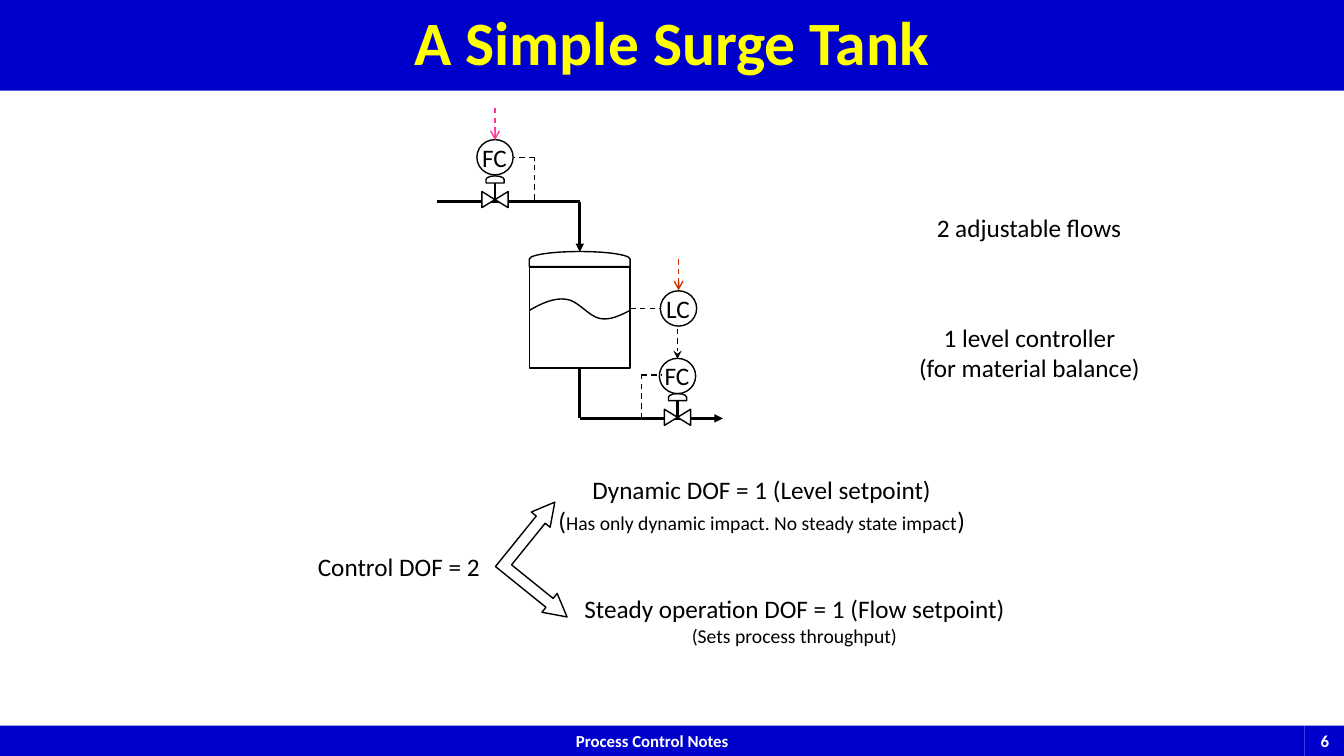
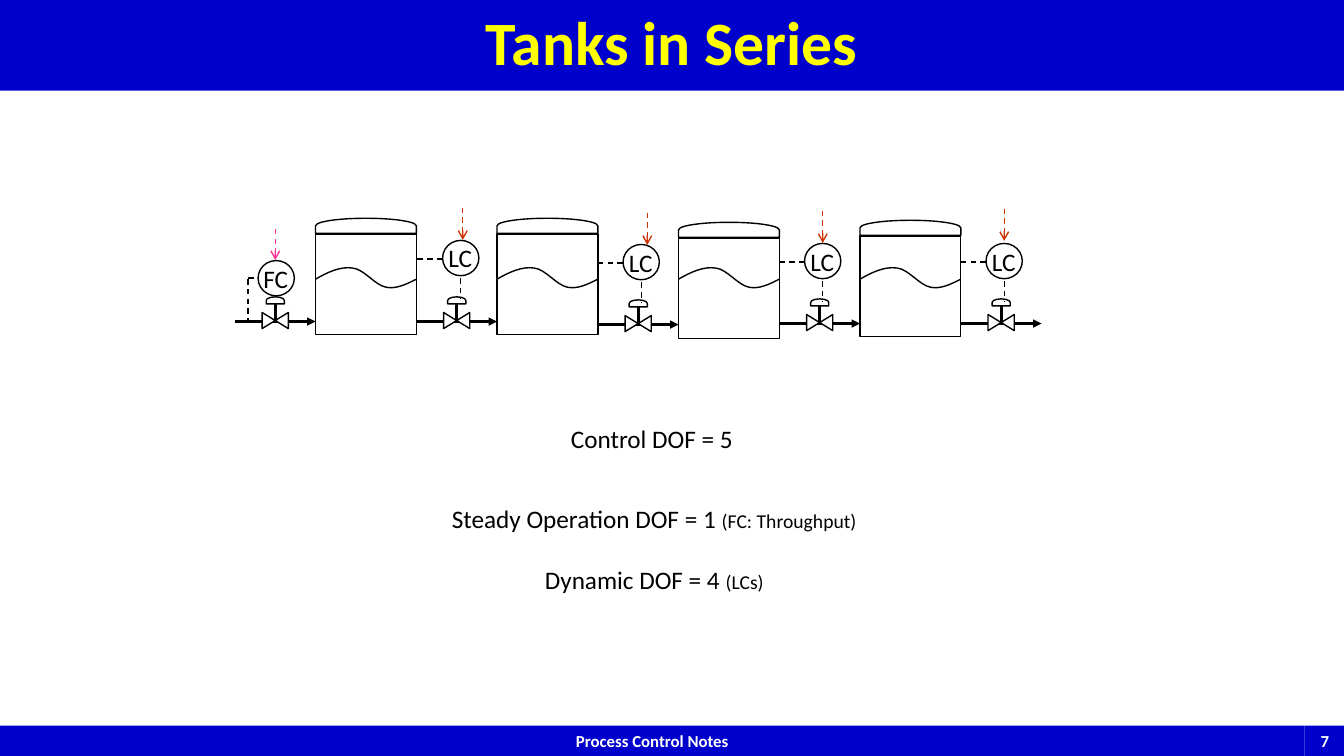
from lxml import etree
from pptx import Presentation
from pptx.dml.color import RGBColor
from pptx.enum.dml import MSO_LINE
from pptx.enum.shapes import MSO_CONNECTOR, MSO_SHAPE
from pptx.enum.text import MSO_ANCHOR, PP_ALIGN
from pptx.oxml.ns import qn
from pptx.util import Inches, Pt

STRAIGHT = MSO_CONNECTOR.STRAIGHT
RECTANGLE = MSO_SHAPE.RECTANGLE
OVAL = MSO_SHAPE.OVAL
DELAY = MSO_SHAPE.FLOWCHART_DELAY
COLLATE = MSO_SHAPE.FLOWCHART_COLLATE
LEFT_UP_ARROW = MSO_SHAPE.LEFT_UP_ARROW
DASH = MSO_LINE.DASH
CENTER = PP_ALIGN.CENTER
MIDDLE = MSO_ANCHOR.MIDDLE
TOP = MSO_ANCHOR.TOP

FONT = "Calibri"
COLOURS = {
    "band": "0000CC",
    "title": "FFFF00",
    "white": "FFFFFF",
    "ink": "000000",
    "flow": "FF3399",
    "level": "CC3300",
}
WAVE = [
    (0.12, -0.07), (0.25, -0.13), (0.37, -0.11),
    (0.48, -0.1), (0.59, 0.06), (0.7, 0.08),
    (0.8, 0.1), (0.9, 0.05), (1, 0),
]


def add_line(page, start, end, width=1, colour="ink", dashed=False, arrow=None):
    line = page.shapes.add_connector(STRAIGHT, *(Inches(value) for value in start + end))
    line.line.width = Pt(width)
    line.line.color.rgb = RGBColor.from_string(COLOURS[colour])
    if dashed:
        line.line.dash_style = DASH
    properties = line.element.spPr
    if arrow:
        etree.SubElement(properties.find(qn("a:ln")), qn("a:tailEnd"), type=arrow)
    etree.SubElement(properties, qn("a:effectLst"))


def add_outline(page, kind, centre, width, height, rotation=0, fill=None):
    left, top = centre[0] - width / 2, centre[1] - height / 2
    shape = page.shapes.add_shape(kind, Inches(left), Inches(top), Inches(width), Inches(height))
    shape.shadow.inherit = False
    shape.rotation = rotation
    shape.line.width = Pt(1)
    shape.line.color.rgb = RGBColor.from_string(COLOURS["ink"])
    if fill:
        shape.fill.solid()
        shape.fill.fore_color.rgb = RGBColor.from_string(COLOURS[fill])
    else:
        shape.fill.background()
    return shape


surge_tank = {
    "title": "A Simple Surge Tank",
    "tanks": [(5.25, 2.65)],
    "wave_top": 3.08,
    "pipes": [
        ((4.33, 2), (5.75, 2), None),
        ((5.75, 2), (5.75, 2.5), "triangle"),
        ((5.75, 3.65), (5.75, 4.15), None),
        ((5.75, 4.15), (7.17, 4.15), "triangle"),
    ],
    "valves": [(4.91, 1.98), (6.72, 4.14)],
    "controllers": [("FC", 4.91, 1.56), ("LC", 6.73, 3.06), ("FC", 6.72, 3.73)],
    "signals": [
        ((5.3, 1.98), (5.3, 1.56), "ink", None),
        ((5.3, 1.56), (5.1, 1.56), "ink", None),
        ((4.91, 1.07), (4.91, 1.39), "flow", "arrow"),
        ((6.25, 3.06), (6.55, 3.06), "ink", None),
        ((6.73, 2.57), (6.73, 2.88), "level", "arrow"),
        ((6.72, 3.26), (6.72, 3.56), "ink", "stealth"),
        ((6.36, 4.15), (6.36, 3.72), "ink", None),
        ((6.36, 3.72), (6.56, 3.72), "ink", None),
    ],
    "texts": [
        (9.18, 2.06, 2.05, 0.4, [[("2 adjustable flows", 18)]]),
        (9, 3.15, 2.42, 1.01, [[("1 level controller", 18)], [("(for material balance)", 18)]]),
        (3.04, 5.42, 1.83, 0.4, [[("Control DOF = 2", 18)]]),
        (5.42, 4.66, 4.27, 0.71, [
            [("Dynamic DOF = 1 (Level setpoint)", 18)],
            [("(", 18), ("Has only dynamic impact. No steady state impact", 14), (")", 18)],
        ]),
        (5.67, 5.84, 4.42, 0.64, [
            [("Steady operation DOF = 1 (Flow setpoint)", 18)],
            [("(Sets process throughput)", 14)],
        ]),
    ],
    "paragraph_gap": 0,
}

PITCH = 1.8
pipe_tops = [3.19, 3.19, 3.22, 3.21, 3.21]
tank_tops = [2.32, 2.32, 2.36, 2.34]
level_centres = [(4.57, 2.56), (6.36, 2.6), (8.16, 2.59), (9.96, 2.59)]
setpoints = [(4.59, 2.06), (6.42, 2.11), (8.16, 2.09), (9.96, 2.07)]
series = {
    "title": "Tanks in Series",
    "tanks": [(3.13 + PITCH * index, top) for index, top in enumerate(tank_tops)],
    "wave_top": 2.77,
    "pipes": [
        ((2.33 + PITCH * index, top), (3.13 + PITCH * index, top), "triangle")
        for index, top in enumerate(pipe_tops)
    ],
    "valves": [(2.73 + PITCH * index, top - 0.01) for index, top in enumerate(pipe_tops)],
    "controllers": [("FC", 2.74, 2.76)] + [("LC", x, y) for x, y in level_centres],
    "signals": [
        ((2.46, 2.76), (2.56, 2.76), "ink", None),
        ((2.46, 2.77), (2.46, 3.17), "ink", None),
        ((2.73, 2.27), (2.73, 2.58), "flow", "arrow"),
    ],
    "texts": [
        (5.55, 4.15, 1.83, 0.4, [[("Control DOF = 5", 18)]]),
        (4.36, 4.94, 4.26, 1.01, [
            [("Steady Operation DOF = 1 ", 18), ("(FC: Throughput)", 14)],
            [("Dynamic DOF = 4 ", 18), ("(LCs)", 14)],
        ]),
    ],
    "paragraph_gap": 22,
}
for (x, y), (setpoint_x, setpoint_y) in zip(level_centres, setpoints):
    series["signals"] += [
        ((x - 0.43, y + 0.01), (x - 0.18, y + 0.01), "ink", None),
        ((x, y + 0.2), (x, y + 0.4), "ink", None),
        ((setpoint_x, setpoint_y), (setpoint_x, setpoint_y + 0.32), "level", "arrow"),
    ]

deck = Presentation()
deck.slide_width = Inches(13.33)
deck.slide_height = Inches(7.5)

for number, content in enumerate([surge_tank, series], start=6):
    page = deck.slides.add_slide(deck.slide_layouts[6])

    for left, top in content["tanks"]:
        add_outline(page, RECTANGLE, (left + 0.5, top + 0.5), 1, 1)
        add_outline(page, DELAY, (left + 0.5, top - 0.08), 0.15, 1, rotation=270)
        wave_top = content["wave_top"]
        builder = page.shapes.build_freeform(Inches(left), Inches(wave_top))
        builder.add_line_segments(
            [(Inches(left + x), Inches(wave_top + y)) for x, y in WAVE], close=False
        )
        wave = builder.convert_to_shape()
        wave.shadow.inherit = False
        wave.fill.background()
        wave.line.width = Pt(1)
        wave.line.color.rgb = RGBColor.from_string(COLOURS["ink"])
        segments = wave.element.findall(".//" + qn("a:lnTo"))
        outline = segments[0].getparent()
        for first in range(0, len(segments), 3):
            curve = etree.SubElement(outline, qn("a:cubicBezTo"))
            for segment in segments[first:first + 3]:
                curve.append(segment[0])
                outline.remove(segment)

    for start, end, arrow in content["pipes"]:
        add_line(page, start, end, width=2, arrow=arrow)

    for x, y in content["valves"]:
        add_outline(page, COLLATE, (x, y), 0.16, 0.26, rotation=270, fill="white")
        add_outline(page, DELAY, (x, y - 0.2), 0.07, 0.18, rotation=270)
        add_line(page, (x, y), (x, y - 0.16), width=2)

    for label, x, y in content["controllers"]:
        add_outline(page, OVAL, (x, y), 0.36, 0.35)

    for start, end, colour, arrow in content["signals"]:
        add_line(page, start, end, colour=colour, dashed=True, arrow=arrow)

    if content is surge_tank:
        branch = add_outline(page, LEFT_UP_ARROW, (5.48, 5.56), 0.93, 0.93, rotation=38.9)
        branch.element.spPr.find(qn("a:xfrm")).set("flipH", "1")
        for index, value in enumerate([0.122, 0.129, 0.24]):
            branch.adjustments[index] = value

    labels = [
        (x - 0.23, y - 0.2, 0.45, 0.4, [[(label, 18)]])
        for label, x, y in content["controllers"]
    ]
    bands = [
        (0, 0, 13.33, 0.9, [[(content["title"], 44)]], "title", MIDDLE),
        (0, 7.2, 12.94, 0.3, [[("Process Control Notes", 12)]], "white", TOP),
        (12.94, 7.2, 0.4, 0.3, [[(str(number), 12)]], "white", TOP),
    ]
    plain = [text + ("ink", TOP) for text in content["texts"] + labels]
    for left, top, width, height, paragraphs, colour, anchor in bands + plain:
        box = page.shapes.add_textbox(Inches(left), Inches(top), Inches(width), Inches(height))
        on_band = colour != "ink"
        if on_band:
            box.fill.solid()
            box.fill.fore_color.rgb = RGBColor.from_string(COLOURS["band"])
        frame = box.text_frame
        frame.word_wrap = on_band
        frame.vertical_anchor = anchor
        for index, spans in enumerate(paragraphs):
            para = frame.add_paragraph() if index else frame.paragraphs[0]
            para.alignment = CENTER
            if index:
                para.space_before = Pt(content["paragraph_gap"])
            if colour == "title":
                para.line_spacing = 0.9
            for text, size in spans:
                span = para.add_run()
                span.text = text
                span.font.name = FONT
                span.font.size = Pt(size)
                span.font.bold = on_band
                span.font.color.rgb = RGBColor.from_string(COLOURS[colour])

deck.save("out.pptx")
